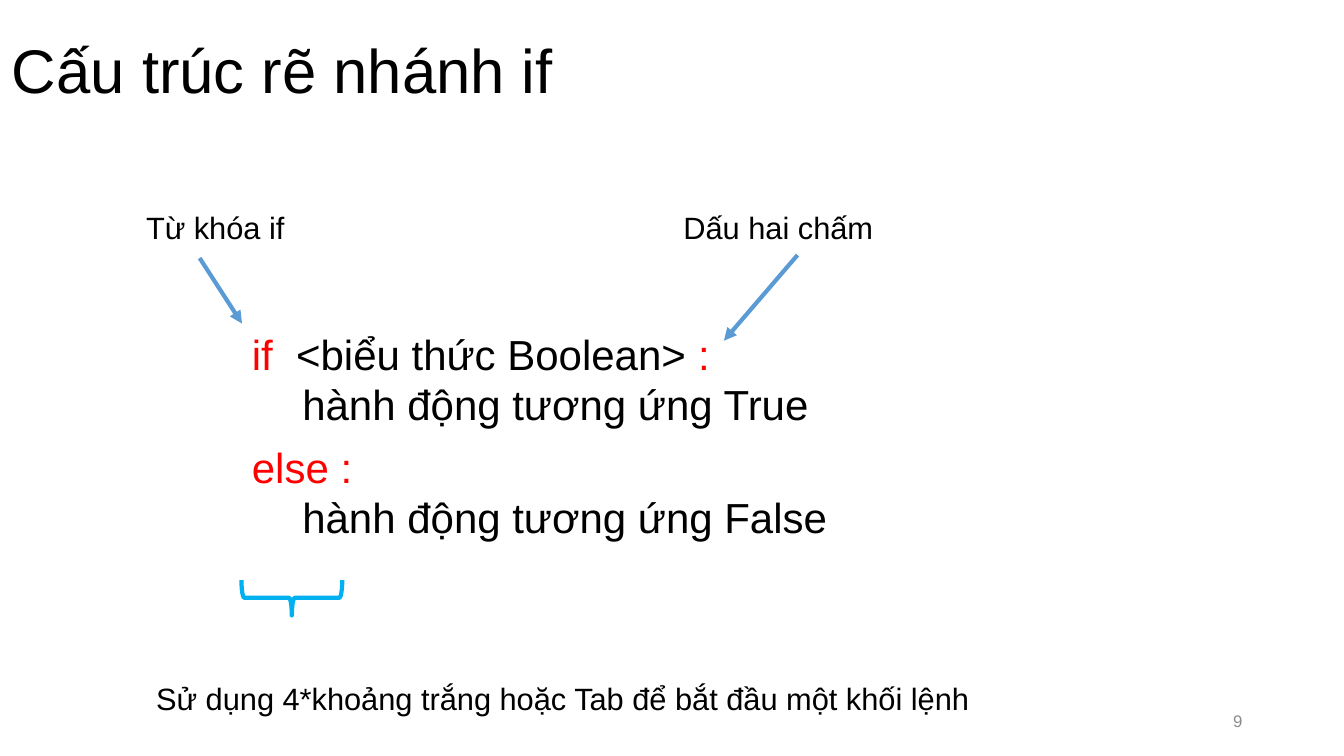
from dataclasses import dataclass

from lxml import etree
from pptx import Presentation
from pptx.dml.color import RGBColor
from pptx.enum.shapes import MSO_CONNECTOR, MSO_SHAPE
from pptx.enum.text import MSO_ANCHOR, PP_ALIGN
from pptx.oxml.ns import qn
from pptx.util import Inches, Pt

STRAIGHT = MSO_CONNECTOR.STRAIGHT
LEFT_BRACE = MSO_SHAPE.LEFT_BRACE
TOP, MIDDLE = MSO_ANCHOR.TOP, MSO_ANCHOR.MIDDLE
LEFT, RIGHT = PP_ALIGN.LEFT, PP_ALIGN.RIGHT

FONT = "Arial"
COLORS = {
    "text": "000000",
    "keyword": "FF0000",
    "page": "8C8C8C",
    "arrow": "5B9BD5",
    "brace": "00B0F0",
}
TITLE_SIZE, CODE_SIZE, NOTE_SIZE, PAGE_SIZE = 44, 30, 22, 12
LINE_WIDTH = 3
CODE_LEFT, CODE_WIDTH, CODE_HEIGHT = 2.4, 7.93, 1.11
NOTE_HEIGHT = 0.47

Line = list[tuple[str, str]]  # (text, colour name) pieces


@dataclass
class Passage:
    box: tuple[float, float, float, float]
    lines: list[Line]
    size: float
    anchor: MSO_ANCHOR = TOP
    align: PP_ALIGN = LEFT
    spacing: float = 1.0


@dataclass
class Arrow:
    start: tuple[float, float]
    end: tuple[float, float]


def note(left: float, top: float, width: float, wording: str) -> Passage:
    return Passage((left, top, width, NOTE_HEIGHT), [[(wording, "text")]], NOTE_SIZE)


def code(top: float, head: Line, action: str) -> Passage:
    return Passage((CODE_LEFT, top, CODE_WIDTH, CODE_HEIGHT),
                   [head, [("\t" + action, "text")]], CODE_SIZE)


PASSAGES = [
    # Title and page number
    Passage((0.02, 0, 13.31, 1.45), [[("Cấu trúc rẽ nhánh if", "text")]],
            TITLE_SIZE, anchor=MIDDLE, spacing=0.9),
    Passage((9.42, 6.95, 3, 0.4), [[("9", "page")]],
            PAGE_SIZE, anchor=MIDDLE, align=RIGHT),
    # The two branches
    code(3.21, [("if", "keyword"), ("  <biểu thức Boolean> ", "text"), (":", "keyword")],
         "hành động tương ứng True"),
    code(4.33, [("else :", "keyword")], "hành động tương ứng False"),
    # Explanations
    note(1.35, 2.02, 1.59, "Từ khóa if"),
    note(6.68, 2.02, 2.89, "Dấu hai chấm"),
    note(1.45, 6.69, 9.58, "Sử dụng 4*khoảng trắng hoặc Tab để bắt đầu một khối lệnh"),
]

ARROWS = [
    Arrow((1.98, 2.56), (2.4, 3.21)),
    Arrow((7.91, 2.53), (7.18, 3.38)),
]


def rgb(name: str) -> RGBColor:
    return RGBColor.from_string(COLORS[name])


def apply_format(target: object, values: dict[str, object]) -> None:
    for attribute, value in values.items():
        setattr(target, attribute, value)


def draw_passage(slide, passage: Passage) -> None:
    frame = slide.shapes.add_textbox(*map(Inches, passage.box)).text_frame
    apply_format(frame, {"word_wrap": True, "vertical_anchor": passage.anchor})
    for index, line in enumerate(passage.lines):
        paragraph = frame.add_paragraph() if index else frame.paragraphs[0]
        apply_format(paragraph, {"alignment": passage.align,
                                 "line_spacing": passage.spacing})
        for wording, color in line:
            run = paragraph.add_run()
            run.text = wording
            apply_format(run.font, {"name": FONT, "size": Pt(passage.size)})
            run.font.color.rgb = rgb(color)


def draw_arrow(slide, arrow: Arrow) -> None:
    connector = slide.shapes.add_connector(
        STRAIGHT, *map(Inches, arrow.start + arrow.end))
    connector.line.color.rgb = rgb("arrow")
    connector.line.width = Pt(LINE_WIDTH)
    properties = connector.line._get_or_add_ln()
    etree.SubElement(properties, qn("a:tailEnd"), type="triangle")
    etree.SubElement(properties.getparent(), qn("a:effectLst"))


def draw_indent_brace(slide) -> None:
    brace = slide.shapes.add_shape(
        LEFT_BRACE, *map(Inches, (2.72, 5.43, 0.35, 1)))
    brace.rotation = 270
    brace.shadow.inherit = False
    brace.fill.background()
    brace.line.color.rgb = rgb("brace")
    brace.line.width = Pt(LINE_WIDTH)


def main() -> None:
    deck = Presentation()
    apply_format(deck, {"slide_width": Inches(13.33), "slide_height": Inches(7.5)})
    slide = deck.slides.add_slide(deck.slide_layouts[6])
    for passage in PASSAGES:
        draw_passage(slide, passage)
    draw_indent_brace(slide)
    for arrow in ARROWS:
        draw_arrow(slide, arrow)
    deck.save("out.pptx")


if __name__ == "__main__":
    main()
